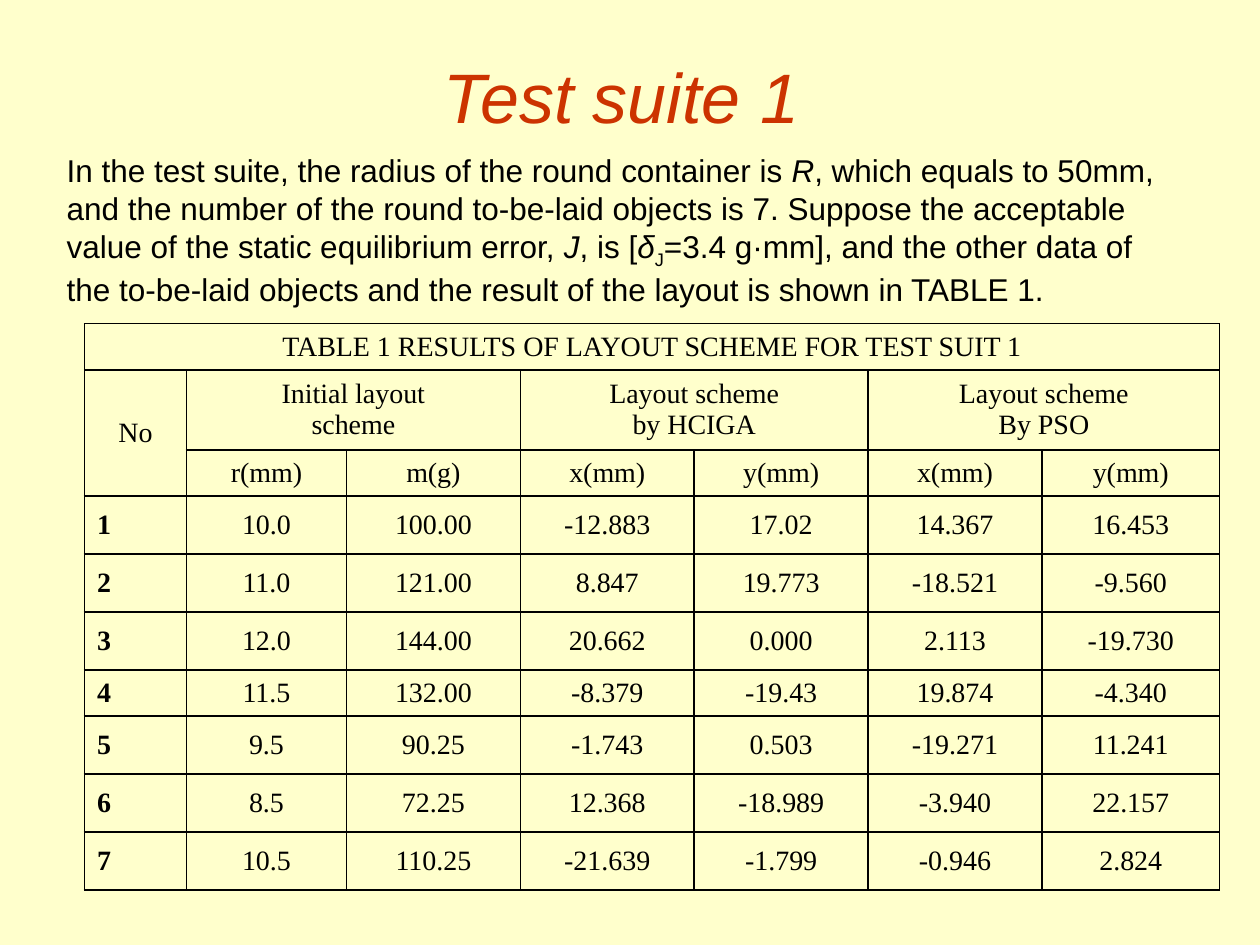
from dataclasses import dataclass

from lxml import etree
from pptx import Presentation
from pptx.dml.color import RGBColor
from pptx.enum.text import MSO_ANCHOR, PP_ALIGN
from pptx.oxml.ns import qn
from pptx.util import Inches, Pt

LEFT, CENTER = PP_ALIGN.LEFT, PP_ALIGN.CENTER
TOP, MIDDLE = MSO_ANCHOR.TOP, MSO_ANCHOR.MIDDLE


@dataclass(frozen=True)
class Theme:
    background: str = "FFFFCC"
    accent: str = "CC3300"
    ink: str = "000000"
    sans: str = "Arial"
    serif: str = "Times New Roman"
    title_size: int = 40
    body_size: int = 18
    table_size: int = 16
    rule: float = 1
    caption_rule: float = 0.75


THEME = Theme()
COLUMN_WIDTHS = [0.81, 1.27, 1.38, 1.38, 1.38, 1.38, 1.41]
TALL, SHORT = 0.46, 0.31
ROW_HEIGHTS = [0.33, 0.53, SHORT] + [TALL] * 3 + [SHORT] + [TALL] * 3
HEADINGS = [
    ["TABLE 1 RESULTS OF LAYOUT SCHEME FOR TEST SUIT 1"] + [""] * 6,
    ["No", "Initial layout\nscheme", "", "Layout scheme\nby HCIGA", "",
     "Layout scheme\nBy PSO", ""],
    ["", "r(mm)", "m(g)", "x(mm)", "y(mm)", "x(mm)", "y(mm)"],
]
RESULTS = [
    ["1", "10.0", "100.00", "-12.883", "17.02", "14.367", "16.453"],
    ["2", "11.0", "121.00", "8.847", "19.773", "-18.521", "-9.560"],
    ["3", "12.0", "144.00", "20.662", "0.000", "2.113", "-19.730"],
    ["4", "11.5", "132.00", "-8.379", "-19.43", "19.874", "-4.340"],
    ["5", "9.5", "90.25", "-1.743", "0.503", "-19.271", "11.241"],
    ["6", "8.5", "72.25", "12.368", "-18.989", "-3.940", "22.157"],
    ["7", "10.5", "110.25", "-21.639", "-1.799", "-0.946", "2.824"],
]
MERGES = [((0, 0), (0, 6)), ((1, 0), (2, 0)), ((1, 1), (1, 2)),
          ((1, 3), (1, 4)), ((1, 5), (1, 6))]
DESCRIPTION = [
    ("In the test suite, the radius of the round container is ", ""),
    ("R", "italic"),
    (", which equals to 50mm, and the number of the round to-be-laid objects "
     "is 7. Suppose the acceptable value of the static equilibrium error, ", ""),
    ("J", "italic"),
    (", is [", ""),
    ("δ", "italic"),
    ("J", "subscript"),
    ("=3.4 g·mm], and the other data of the to-be-laid objects and the result "
     "of the layout is shown in TABLE 1.", ""),
]


def style_font(font, name, size, color):
    """Set the typeface, size and colour of a font."""
    font.name, font.size = name, Pt(size)
    font.color.rgb = RGBColor.from_string(color)


def add_text(slide, bounds, anchor):
    """Add a wrapping text box and return its first paragraph."""
    frame = slide.shapes.add_textbox(*map(Inches, bounds)).text_frame
    frame.word_wrap = True
    frame.vertical_anchor = anchor
    return frame.paragraphs[0]


def add_title(slide):
    """Add the italic slide title."""
    title = add_text(slide, (0.51, 0.36, 9, 0.79), MIDDLE)
    title.text = "Test suite 1 "
    title.alignment = CENTER
    style_font(title.font, THEME.sans, THEME.title_size, THEME.accent)
    title.font.italic = True


def add_description(slide):
    """Add the problem statement with its italic and subscript symbols."""
    statement = add_text(slide, (0.43, 1.15, 8.98, 1.3), TOP)
    style_font(statement.font, THEME.sans, THEME.body_size, THEME.ink)
    for words, style in DESCRIPTION:
        run = statement.add_run()
        run.text = words
        style_font(run.font, THEME.sans, THEME.body_size, THEME.ink)
        if style == "italic":
            run.font.italic = True
        elif style == "subscript":
            run.font._element.set("baseline", "-25000")


def set_borders(cell, widths):
    """Draw the left, right, top and bottom rules of a cell."""
    properties = cell._tc.get_or_add_tcPr()
    for position, (side, width) in enumerate(zip("LRTB", widths)):
        line = etree.Element(qn(f"a:ln{side}"), w=str(Pt(width)))
        fill = etree.SubElement(line, qn("a:solidFill"))
        etree.SubElement(fill, qn("a:srgbClr"), val=THEME.ink)
        properties.insert(position, line)


def fill_cell(cell, words, is_number, is_caption):
    """Write and format one table cell."""
    cell.text = words
    cell.vertical_anchor = MIDDLE
    cell.fill.background()
    for paragraph in cell.text_frame.paragraphs:
        paragraph.alignment = LEFT if is_number else CENTER
        style_font(paragraph.font, THEME.serif, THEME.table_size, THEME.ink)
        paragraph.font.bold = is_number
    outer = THEME.caption_rule if is_caption else THEME.rule
    set_borders(cell, (outer, outer, outer, THEME.rule))


def add_results(slide):
    """Add the table of layout results."""
    rows = HEADINGS + RESULTS
    table = slide.shapes.add_table(
        len(rows), len(COLUMN_WIDTHS), Inches(0.67), Inches(2.57),
        Inches(sum(COLUMN_WIDTHS)), Inches(sum(ROW_HEIGHTS))).table
    table.first_row = table.horz_banding = False
    for column, width in zip(table.columns, COLUMN_WIDTHS):
        column.width = Inches(width)
    for row, height in zip(table.rows, ROW_HEIGHTS):
        row.height = Inches(height)
    for r, values in enumerate(rows):
        for c, words in enumerate(values):
            is_number = c == 0 and r >= len(HEADINGS)
            fill_cell(table.cell(r, c), words, is_number, r == 0)
    for first, last in MERGES:
        table.cell(*first).merge(table.cell(*last))


def main():
    """Build the slide and save it."""
    deck = Presentation()
    deck.slide_width, deck.slide_height = Inches(10), Inches(7.5)
    slide = deck.slides.add_slide(deck.slide_layouts[6])
    slide.background.fill.solid()
    slide.background.fill.fore_color.rgb = RGBColor.from_string(THEME.background)
    add_title(slide)
    add_results(slide)
    add_description(slide)
    deck.save("out.pptx")


if __name__ == "__main__":
    main()
